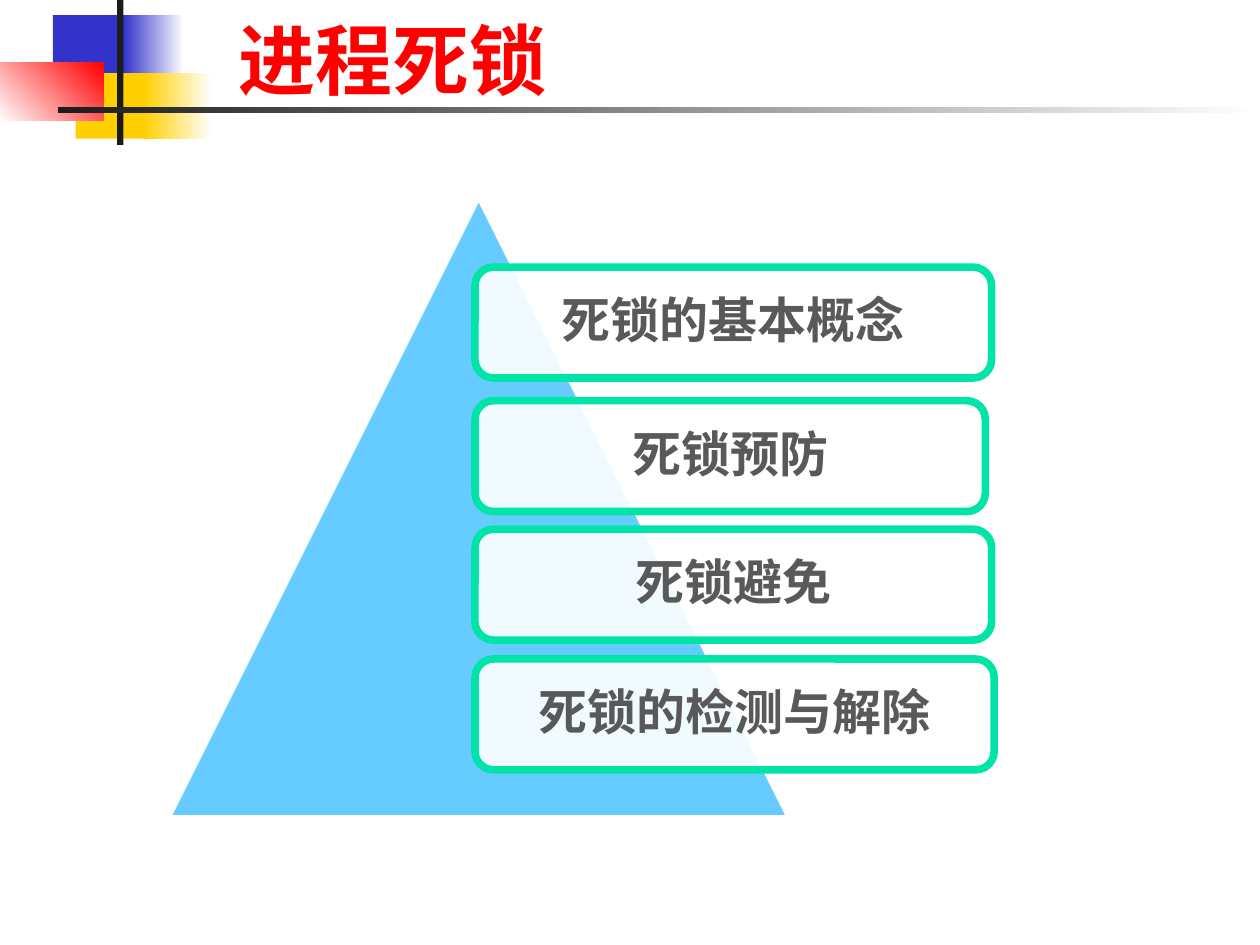
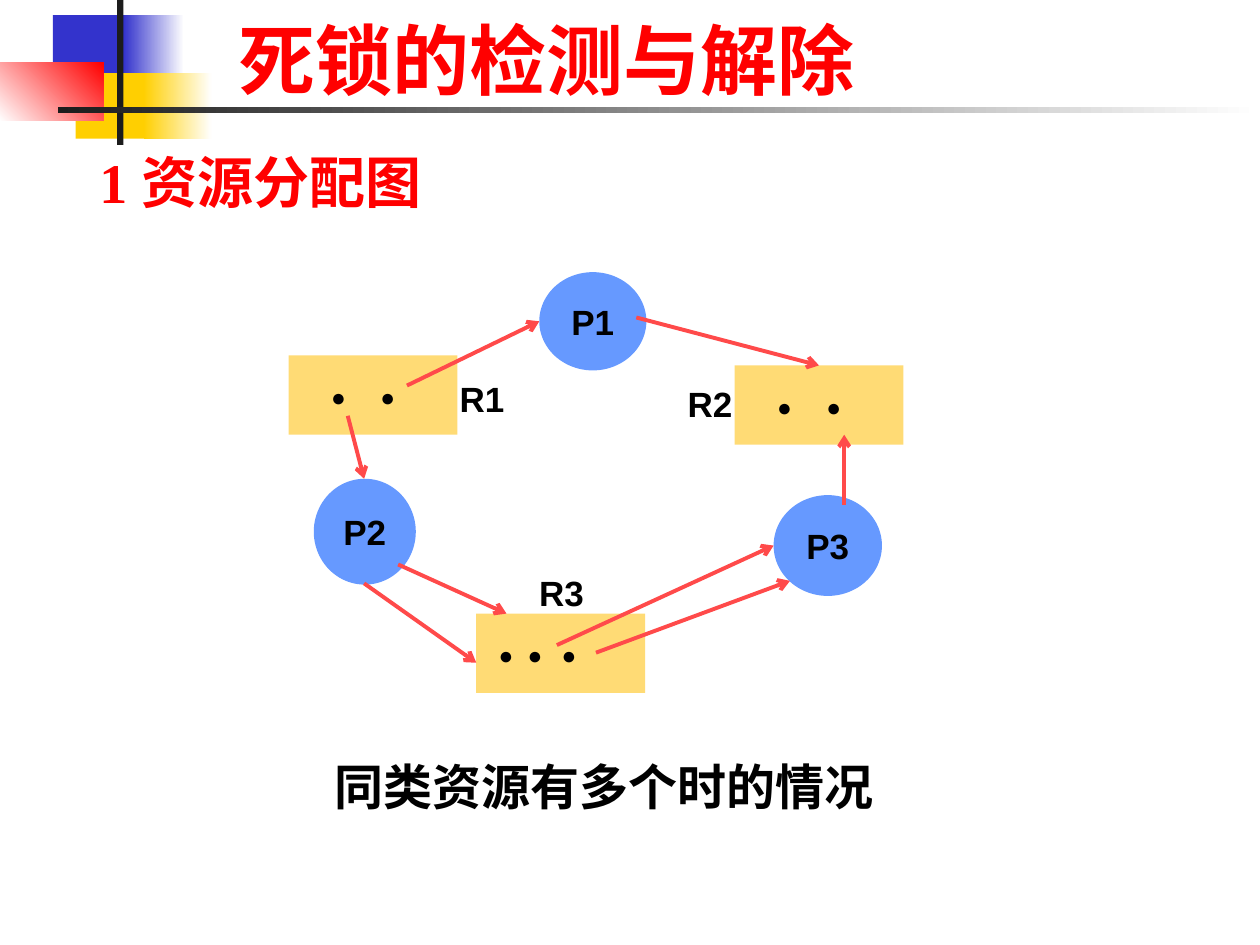
from pptx import Presentation
from pptx.dml.color import RGBColor
from pptx.enum.shapes import MSO_CONNECTOR as Link, MSO_SHAPE as Form
from pptx.enum.text import MSO_ANCHOR as Anchor, MSO_AUTO_SIZE as Fit, PP_ALIGN as Align
from pptx.oxml.ns import qn
from pptx.util import Inches, Pt
from lxml.etree import SubElement

RED, BLUE, GOLD = "FF0000", "3333CC", "FFCF01"
WHITE, BLACK, INK, GREY = "FFFFFF", "000000", "1C1C1C", "595959"
SKY, MINT, NODE, SAND, CORAL = "66CCFF", "00E4A8", "6699FF", "FFDB75", "FF4A4A"
HAN, SERIF, SANS = "Noto Sans CJK SC", "Times New Roman", "Arial"

BAND = [
    (0.42, 0.12, 0.64, 0.52, (BLUE,)),
    (0.98, 0.12, 0.48, 0.52, (BLUE, WHITE)),
    (0.6, 0.58, 0.62, 0.52, (GOLD,)),
    (1.14, 0.58, 0.54, 0.52, (GOLD, WHITE)),
    (0, 0.5, 0.82, 0.46, (WHITE, RED, 45)),
    (0.93, 0, 0.05, 1.15, (INK,)),
    (0.46, 0.85, 9.54, 0.05, (INK, WHITE)),
]
TOPICS = [
    ("死锁的基本概念", 2.12, 4.1),
    ("死锁预防", 3.18, 4.05),
    ("死锁避免", 4.2, 4.1),
    ("死锁的检测与解除", 5.23, 4.12),
]
TASKS = [
    ("P1", 4.28, 2.16, 0.85, 0.78),
    ("P3", 6.14, 3.93, 0.86, 0.8),
    ("P2", 2.49, 3.8, 0.81, 0.84),
]
STOCKS = [
    ("R1", 2.29, 2.82, 3.55, 2.94, 0.24, (0.39,)),
    ("R2", 5.83, 2.9, 5.36, 2.98, 0.24, (0.39,)),
    ("R3", 3.78, 4.87, 4.18, 4.48, 0.08, (0.23, 0.5)),
]
ARROWS = [
    (3.23, 3.06, 4.28, 2.55),
    (2.76, 3.3, 2.89, 3.8),
    (3.16, 4.48, 4.02, 4.87),
    (2.89, 4.63, 3.78, 5.26),
    (4.73, 5.18, 6.27, 4.61),
    (4.42, 5.12, 6.14, 4.33),
    (6.7, 4.01, 6.7, 3.45),
    (5.05, 2.52, 6.5, 2.9),
]


def color(code):
    return RGBColor.from_string(code)


class Deck:
    def __init__(self):
        self.prs = Presentation()
        self.prs.slide_width = Inches(10)
        self.prs.slide_height = Inches(7.5)

    def start(self, title):
        self.slide = self.prs.slides.add_slide(self.prs.slide_layouts[5])
        self.shapes = self.slide.shapes
        for *box, fill in BAND:
            self.shape(Form.RECTANGLE, box, *fill)
        head = self.shapes.title
        head.left, head.top, head.width, head.height = map(Inches, (1.79, 0.04, 8.62, 0.95))
        self.letter(head, title, 44, SERIF, RED).line_spacing = 0.9

    def letter(self, item, text, size, face, tone=BLACK, align=Align.LEFT):
        frame = item.text_frame
        frame.word_wrap = True
        frame.auto_size = Fit.NONE
        frame.vertical_anchor = Anchor.MIDDLE
        para = frame.paragraphs[0]
        para.text = text
        para.alignment = align
        font = para.font
        font.size, font.name, font.bold = Pt(size), face, True
        font.color.rgb = color(tone)
        base = para._p.pPr.find(qn("a:defRPr"))
        SubElement(base, qn("a:ea"), typeface=HAN)
        return para

    def shape(self, form, box, fill, end=None, angle=0, edge=None, alpha=None):
        item = self.shapes.add_shape(form, *map(Inches, box))
        item.shadow.inherit = False
        if end:
            item.fill.gradient()
            item.fill.gradient_angle = angle
            for stop, code in zip(item.fill.gradient_stops, (fill, end)):
                stop.color.rgb = color(code)
        else:
            item.fill.solid()
            item.fill.fore_color.rgb = color(fill)
        if alpha:
            tint = item._element.spPr.find(qn("a:solidFill"))[0]
            SubElement(tint, qn("a:alpha"), val=str(alpha * 1000))
        if edge:
            item.line.color.rgb = color(edge)
            item.line.width = Pt(4.33)
        else:
            item.line.fill.background()
        return item

    def label(self, box, *style):
        return self.letter(self.shapes.add_textbox(*map(Inches, box)), *style)

    def card(self, text, top, width):
        item = self.shape(Form.ROUNDED_RECTANGLE, (3.77, top, width, 0.88), WHITE, edge=MINT, alpha=90)
        self.letter(item, text, 28, HAN, GREY, Align.CENTER).line_spacing = 0.9

    def task(self, name, *box):
        item = self.shape(Form.OVAL, box, NODE)
        frame = item.text_frame
        frame.margin_left = frame.margin_right = 0
        self.letter(item, name, 20, SANS, align=Align.CENTER)

    def stock(self, name, left, top, side, high, inset, tabs):
        self.shape(Form.RECTANGLE, (left, top, 1.34, 0.63), SAND)
        dots = "\t".join("●" * (len(tabs) + 1))
        para = self.label((left + inset, top + 0.16, 1.1, 0.34), dots, 14, SANS)
        stops = SubElement(para._p.pPr, qn("a:tabLst"))
        para._p.pPr.find(qn("a:defRPr")).addprevious(stops)
        for tab in tabs:
            SubElement(stops, qn("a:tab"), pos=str(Inches(tab)), algn="l")
        self.label((side, high, 0.63, 0.44), name, 20, SANS)

    def arrow(self, *ends):
        item = self.shapes.add_connector(Link.STRAIGHT, *map(Inches, ends))
        item.line.color.rgb = color(CORAL)
        item.line.width = Pt(2.25)
        props = item._element.spPr
        SubElement(props.find(qn("a:ln")), qn("a:tailEnd"), type="arrow")
        SubElement(props, qn("a:effectLst"))


def main():
    deck = Deck()

    deck.start("进程死锁")
    deck.shape(Form.ISOSCELES_TRIANGLE, (1.32, 1.54, 4.96, 4.96), SKY, edge=WHITE)
    for topic in TOPICS:
        deck.card(*topic)

    deck.start("死锁的检测与解除")
    deck.label((0.69, 1.12, 5.89, 0.64), "1 资源分配图", 32, SERIF, RED)
    deck.label((2.56, 5.95, 4.64, 0.57), "同类资源有多个时的情况", 28, HAN)
    for task in TASKS:
        deck.task(*task)
    for stock in STOCKS:
        deck.stock(*stock)
    for ends in ARROWS:
        deck.arrow(*ends)

    deck.prs.save("out.pptx")


if __name__ == "__main__":
    main()
